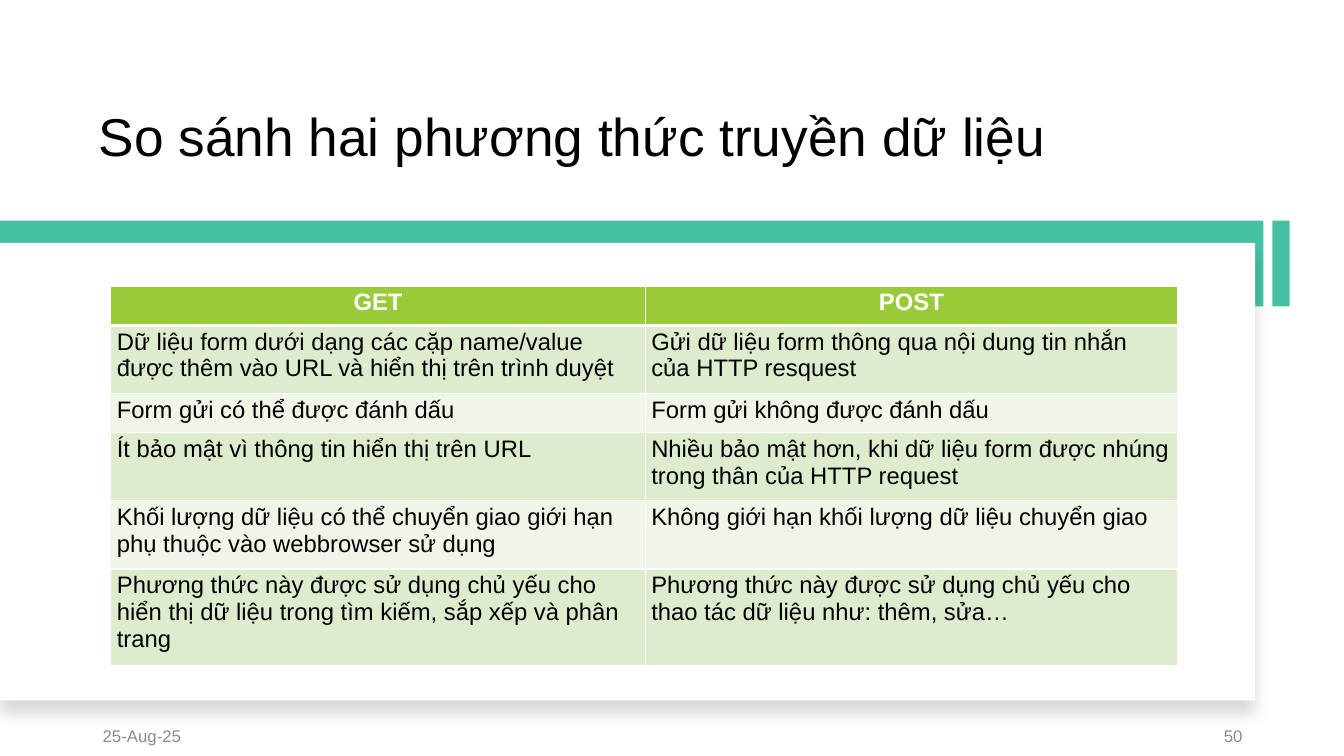
from dataclasses import dataclass
from typing import Any

from lxml.etree import SubElement
from pptx import Presentation
from pptx.dml.color import RGBColor
from pptx.enum.shapes import MSO_SHAPE
from pptx.enum.text import MSO_ANCHOR, MSO_AUTO_SIZE, PP_ALIGN
from pptx.oxml.ns import qn
from pptx.util import Inches, Pt


@dataclass(frozen=True)
class Theme:
    """Colours and type sizes of the slide."""
    face: str = "Arial"
    ink: str = "000000"
    paper: str = "FFFFFF"
    teal: str = "44C1A3"
    head: str = "99CB38"
    bands: tuple[str, str] = ("DEECCE", "EFF6E8")
    grey: str = "8C8C8C"
    title: int = 38
    body: int = 17
    small: int = 12


@dataclass(frozen=True)
class Box:
    """A place on the slide in percent of its width and height."""
    left: float
    top: float
    width: float
    height: float


@dataclass(frozen=True)
class Block:
    """A plain filled rectangle."""
    box: Box
    fill: str
    raised: bool = False


@dataclass(frozen=True)
class Note:
    """A footer text."""
    text: str
    box: Box
    align: PP_ALIGN


@dataclass(frozen=True)
class Row:
    """A table row and the number of text lines it holds."""
    lines: int
    get: str
    post: str


THEME = Theme()
WIDE, HIGH = Inches(13.33), Inches(7.5)
TITLE = "So sánh hai phương thức truyền dữ liệu"
TITLE_BOX = Box(6.6, 5.6, 75.77, 17.33)
GRID = Box(8.25, 37.87, 79.37, 50.2)
COLS = (39.76, 39.61)
LINE, PAD = 3.8, 1.4
BLOCKS = (
    Block(Box(94.67, 29.2, 1.28, 11.33), THEME.teal),
    Block(Box(0, 29.2, 94, 11.33), THEME.teal),
    Block(Box(0, 32.13, 93.4, 60.53), THEME.paper, True),
)
NOTES = (
    Note("25-Aug-25", Box(6.9, 94.67, 22.51, 5.33), PP_ALIGN.LEFT),
    Note("50", Box(70.67, 94.67, 22.51, 5.33), PP_ALIGN.RIGHT),
)
ROWS = (
    Row(1, "GET", "POST"),
    Row(2, "Dữ liệu form dưới dạng các cặp name/value được thêm vào URL và hiển thị trên trình duyệt",
        "Gửi dữ liệu form thông qua nội dung tin nhắn của HTTP resquest"),
    Row(1, "Form gửi có thể được đánh dấu", "Form gửi không được đánh dấu"),
    Row(2, "Ít bảo mật vì thông tin hiển thị trên URL",
        "Nhiều bảo mật hơn, khi dữ liệu form được nhúng trong thân của HTTP request"),
    Row(2, "Khối lượng dữ liệu có thể chuyển giao giới hạn phụ thuộc vào webbrowser sử dụng",
        "Không giới hạn khối lượng dữ liệu chuyển giao"),
    Row(3, "Phương thức này được sử dụng chủ yếu cho hiển thị dữ liệu trong tìm kiếm, sắp xếp và phân trang",
        "Phương thức này được sử dụng chủ yếu cho thao tác dữ liệu như: thêm, sửa…"),
)


def across(share: float) -> int:
    """Turn a percentage of the width into a length."""
    return round(WIDE * share / 100)


def down(share: float) -> int:
    """Turn a percentage of the height into a length."""
    return round(HIGH * share / 100)


def place(box: Box) -> dict[str, int]:
    """Turn a box into position values."""
    return {"left": across(box.left), "top": down(box.top),
            "width": across(box.width), "height": down(box.height)}


def apply(target: Any, values: dict[str, Any]) -> None:
    """Set each named attribute on the target."""
    for name, value in values.items():
        setattr(target, name, value)


def paint(target: Any, color: str) -> None:
    """Give the target a solid fill."""
    target.fill.solid()
    target.fill.fore_color.rgb = RGBColor.from_string(color)


def write(frame: Any, text: str, size: int, color: str,
          form: dict[str, Any], bold: bool = False) -> None:
    """Write one formatted paragraph into a text frame."""
    frame.text = text
    para = frame.paragraphs[0]
    apply(para, form)
    apply(para.font, {"name": THEME.face, "size": Pt(size), "bold": bold})
    para.font.color.rgb = RGBColor.from_string(color)


def lift(shape: Any) -> None:
    """Cast a soft shadow below a shape."""
    effects = shape._element.spPr.find(qn("a:effectLst"))
    shade = SubElement(effects, qn("a:outerShdw"), blurRad=str(Pt(11)),
                       dist=str(Pt(10)), dir="5400000", algn="t", rotWithShape="0")
    tint = SubElement(shade, qn("a:srgbClr"), val=THEME.ink)
    SubElement(tint, qn("a:alpha"), val="15000")


def draw_block(slide: Any, block: Block) -> None:
    """Draw a rectangle without outline."""
    shape = slide.shapes.add_shape(MSO_SHAPE.RECTANGLE, **place(block.box))
    shape.shadow.inherit = False
    paint(shape, block.fill)
    shape.line.fill.background()
    if block.raised:
        lift(shape)


def draw_note(slide: Any, note: Note) -> None:
    """Draw a footer text."""
    frame = slide.shapes.add_textbox(**place(note.box)).text_frame
    apply(frame, {"word_wrap": True, "vertical_anchor": MSO_ANCHOR.MIDDLE})
    write(frame, note.text, THEME.small, THEME.grey,
          {"alignment": note.align, "space_after": Pt(6)})


def draw_title(slide: Any) -> None:
    """Place and format the title."""
    title = slide.shapes.title
    apply(title, place(TITLE_BOX))
    apply(title.text_frame, {"word_wrap": True, "auto_size": MSO_AUTO_SIZE.NONE,
                             "vertical_anchor": MSO_ANCHOR.BOTTOM})
    write(title.text_frame, TITLE, THEME.title, THEME.ink,
          {"alignment": PP_ALIGN.LEFT, "line_spacing": 0.9})


def edge(cell: Any, base: int) -> None:
    """Rule the four sides of a cell."""
    for side, width in {"L": 1, "R": 1, "T": 1, "B": base}.items():
        line = SubElement(cell._tc.get_or_add_tcPr(), qn(f"a:ln{side}"), w=str(Pt(width)))
        SubElement(SubElement(line, qn("a:solidFill")), qn("a:srgbClr"), val=THEME.paper)


def draw_table(slide: Any) -> None:
    """Draw the table that compares both methods."""
    table = slide.shapes.add_table(len(ROWS), len(COLS), **place(GRID)).table
    for col, share in zip(table.columns, COLS):
        col.width = across(share)
    for at, row in enumerate(ROWS):
        table.rows[at].height = down(PAD + LINE * row.lines)
        top = at == 0
        fill = THEME.head if top else THEME.bands[(at - 1) % 2]
        for cell, text in zip(table.rows[at].cells, (row.get, row.post)):
            apply(cell, {"margin_left": Inches(0.06), "margin_right": Inches(0.06),
                         "margin_top": Inches(0.03), "margin_bottom": Inches(0.03)})
            edge(cell, 3 if top else 1)
            paint(cell, fill)
            write(cell.text_frame, text, THEME.body, THEME.paper if top else THEME.ink,
                  {"alignment": PP_ALIGN.CENTER if top else PP_ALIGN.LEFT}, top)


def main() -> None:
    """Build and save the slide."""
    deck = Presentation()
    apply(deck, {"slide_width": WIDE, "slide_height": HIGH})
    slide = deck.slides.add_slide(deck.slide_layouts[5])
    paint(slide.background, THEME.paper)
    draw_title(slide)
    for block in BLOCKS:
        draw_block(slide, block)
    for note in NOTES:
        draw_note(slide, note)
    draw_table(slide)
    deck.save("out.pptx")


if __name__ == "__main__":
    main()
